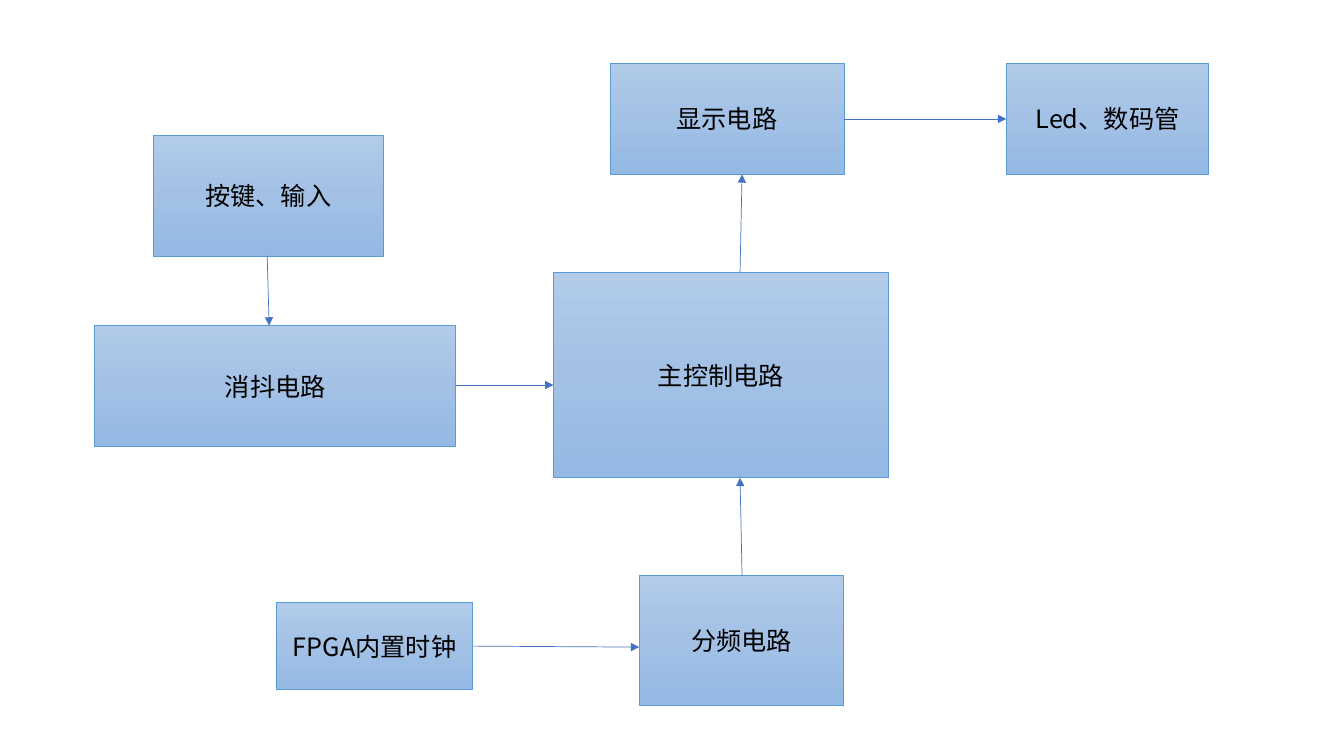
from copy import deepcopy

from lxml.etree import SubElement
from pptx import Presentation
from pptx.dml.color import RGBColor
from pptx.enum.shapes import MSO_CONNECTOR, MSO_SHAPE
from pptx.enum.text import MSO_ANCHOR, PP_ALIGN
from pptx.oxml.ns import qn
from pptx.util import Inches, Pt

FONT = "Noto Sans CJK SC"
COLORS = {"top": "B1CBE9", "middle": "A3C1E5", "bottom": "93B9E4",
          "border": "5B9BD5", "arrow": "4472C4", "text": "000000"}

# name: (text, left, top, width, height)
BLOCKS = {
    "keys": ("按键、输入", 1.52, 1.34, 2.28, 1.2),
    "debounce": ("消抖电路", 0.94, 3.23, 3.58, 1.2),
    "control": ("主控制电路", 5.49, 2.7, 3.32, 2.04),
    "divider": ("分频电路", 6.34, 5.71, 2.03, 1.29),
    "display": ("显示电路", 6.05, 0.63, 2.32, 1.1),
    "output": ("Led、数码管", 9.98, 0.63, 2.01, 1.1),
    "clock": ("FPGA内置时钟", 2.74, 5.98, 1.95, 0.86),
}

# (source, its side, target, its side, start and end position along those sides)
FLOWS = [
    ("keys", "bottom", "debounce", "top", 2.65, 2.67),
    ("debounce", "right", "control", "left", 3.82, 3.82),
    ("divider", "top", "control", "bottom", 7.36, 7.34),
    ("control", "top", "display", "bottom", 7.34, 7.36),
    ("display", "right", "output", "left", 1.18, 1.18),
    ("clock", "right", "divider", "left", 6.41, 6.42),
]


def color(name):
    """Return the named colour."""
    return RGBColor.from_string(COLORS[name])


def fill_gradient(box):
    """Fill a box with the three-stop gradient, running downwards."""
    box.fill.gradient()
    box.fill.gradient_angle = 270
    first = box._element.spPr.find(".//" + qn("a:gs"))
    first.addnext(deepcopy(first))
    stops = zip(box.fill.gradient_stops, ("top", "middle", "bottom"), (0, 0.5, 1))
    for stop, name, position in stops:
        stop.color.rgb = color(name)
        stop.position = position


def write(box, text, size=18, font=FONT, ink="text"):
    """Write centred text in a box."""
    frame = box.text_frame
    frame.word_wrap = True
    frame.vertical_anchor = MSO_ANCHOR.MIDDLE
    para = frame.paragraphs[0]
    para.alignment = PP_ALIGN.CENTER
    span = para.add_run()
    span.text = text
    span.font.size = Pt(size)
    span.font.name = font
    span.font.color.rgb = color(ink)
    SubElement(span.font._element, qn("a:ea"), typeface=font)


def add_block(page, text, *bounds):
    """Add one block of the diagram."""
    box = page.shapes.add_shape(MSO_SHAPE.RECTANGLE, *map(Inches, bounds))
    box.shadow.inherit = False
    fill_gradient(box)
    box.line.color.rgb = color("border")
    box.line.width = Pt(0.5)
    write(box, text)


def edge_point(name, side, along):
    """Return the point on a block's side at the given position."""
    left, top, width, height = BLOCKS[name][1:]
    return {"left": (left, along), "right": (left + width, along),
            "top": (along, top), "bottom": (along, top + height)}[side]


def add_arrow(page, start, end):
    """Add a thin arrow between two points."""
    arrow = page.shapes.add_connector(
        MSO_CONNECTOR.STRAIGHT, *map(Inches, start + end))
    arrow.line.color.rgb = color("arrow")
    arrow.line.width = Pt(0.5)
    SubElement(arrow.line._get_or_add_ln(), qn("a:tailEnd"), type="triangle")
    SubElement(arrow._element.spPr, qn("a:effectLst"))


deck = Presentation()
deck.slide_width, deck.slide_height = Inches(13.33), Inches(7.5)
page = deck.slides.add_slide(deck.slide_layouts[6])

for block in BLOCKS.values():
    add_block(page, *block)
for source, exit_side, target, entry_side, begin, finish in FLOWS:
    add_arrow(page, edge_point(source, exit_side, begin),
              edge_point(target, entry_side, finish))

deck.save("out.pptx")
